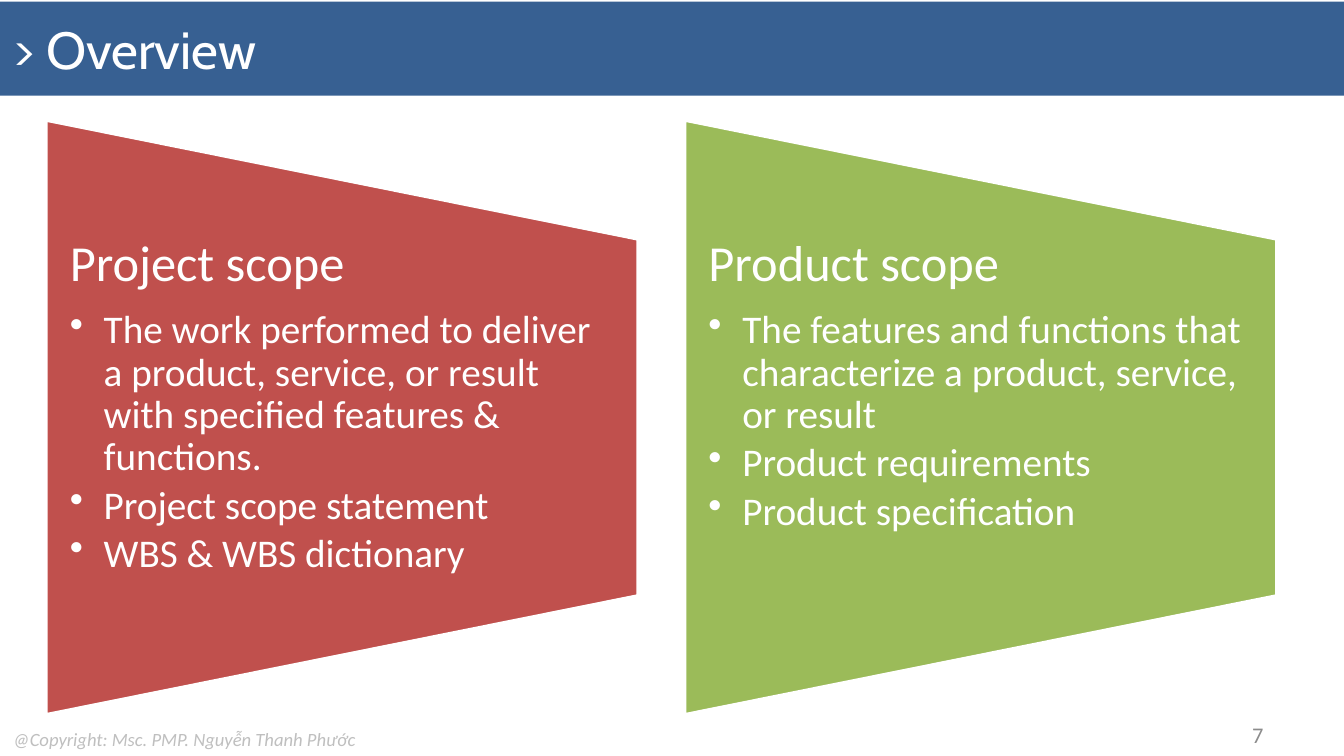
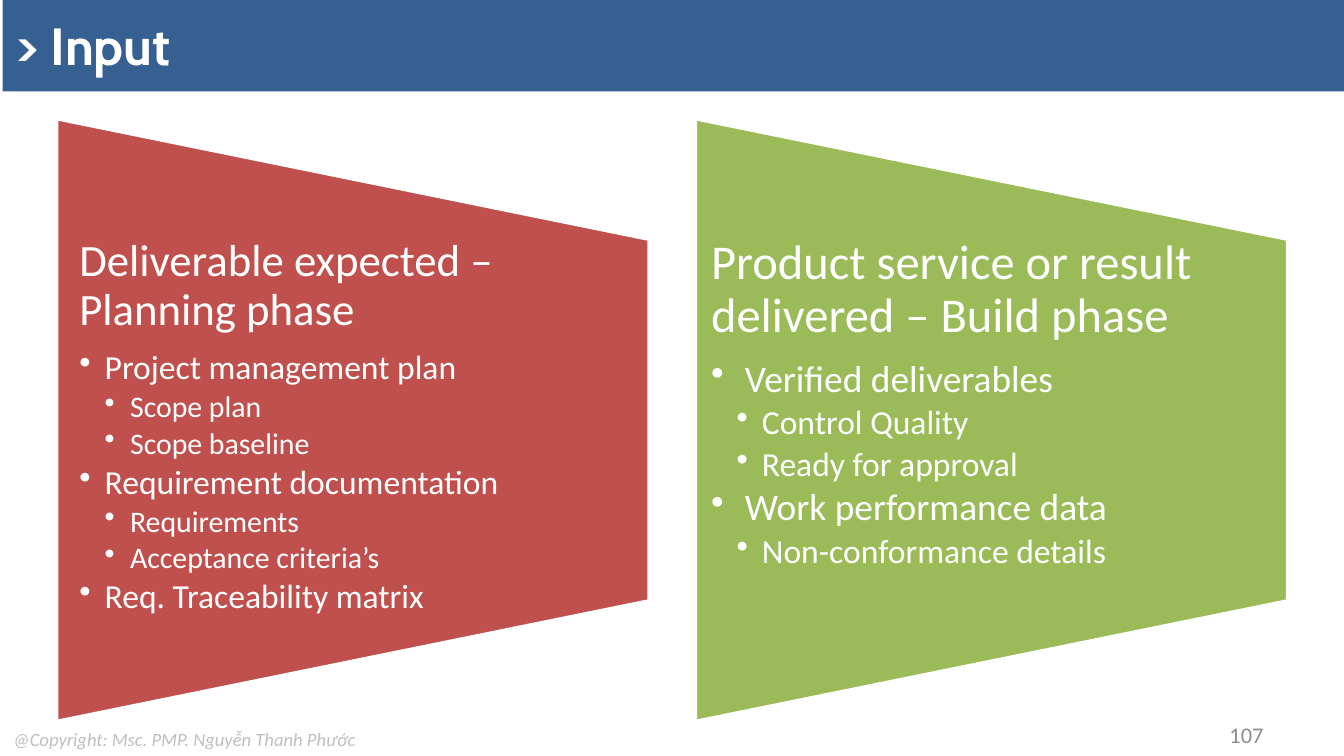
from dataclasses import dataclass

from lxml import etree
from pptx import Presentation
from pptx.dml.color import RGBColor
from pptx.enum.shapes import MSO_SHAPE
from pptx.enum.text import MSO_ANCHOR, PP_ALIGN
from pptx.oxml.ns import qn
from pptx.util import Cm, Pt

RECTANGLE = MSO_SHAPE.RECTANGLE
TRAPEZOID = MSO_SHAPE.FLOWCHART_MANUAL_OPERATION
TOP, MIDDLE = MSO_ANCHOR.TOP, MSO_ANCHOR.MIDDLE
LEFT, RIGHT = PP_ALIGN.LEFT, PP_ALIGN.RIGHT


@dataclass(frozen=True)
class Theme:
    band: RGBColor = RGBColor(0x37, 0x60, 0x92)
    white: RGBColor = RGBColor(0xFF, 0xFF, 0xFF)
    copyright: RGBColor = RGBColor(0xBF, 0xBF, 0xBF)
    number: RGBColor = RGBColor(0x8C, 0x8C, 0x8C)
    panels: tuple[RGBColor, RGBColor] = (
        RGBColor(0xC0, 0x50, 0x4D),
        RGBColor(0x9B, 0xBB, 0x59),
    )
    title_font: str = "Cabin"
    body_font: str = "Calibri"
    title_size: int = 28
    copyright_size: int = 10
    number_size: int = 12


THEME = Theme()
SLIDE_WIDTH, SLIDE_HEIGHT = Cm(25.4), Cm(14.29)
BAND_HEIGHT = Cm(1.78)
PANEL_PITCH = Cm(12.07)
PANEL_WIDTH = Cm(11.2)
TEXT_TOP = Cm(4.5)
COPYRIGHT = "@Copyright: Msc. PMP. Nguyễn Thanh Phước"


@dataclass(frozen=True)
class Panel:
    heading: str
    items: tuple[tuple[int, str], ...]  # (level, text)
    sizes: tuple[int, ...]  # heading, then each bullet level
    inset: Cm
    hanging: tuple[Cm, ...]  # one per bullet level


@dataclass(frozen=True)
class PanelSlide:
    title: str
    title_bold: bool
    number: str
    band_left: Cm
    band_top: Cm
    panel_left: Cm
    panel_top: Cm
    panel_length: Cm  # long side before the quarter turn
    text_left: Cm
    text_height: Cm
    panels: tuple[Panel, Panel]


SLIDES = (
    PanelSlide(
        "> Overview", False, "7", Cm(0), Cm(0.03),
        Cm(0.84), Cm(2.29), Cm(11.25), Cm(0.84), Cm(6.76),
        (
            Panel(
                "Project scope",
                (
                    (1, "The work performed to deliver a product, service, "
                        "or result with specified features & functions."),
                    (1, "Project scope statement"),
                    (1, "WBS & WBS dictionary"),
                ),
                (27, 21), Cm(0.48), (Cm(0.64),),
            ),
            Panel(
                "Product scope",
                (
                    (1, "The features and functions that characterize "
                        "a product, service, or result"),
                    (1, "Product requirements"),
                    (1, "Product specification"),
                ),
                (27, 21), Cm(0.48), (Cm(0.64),),
            ),
        ),
    ),
    PanelSlide(
        "> Input", True, "107", Cm(0.05), Cm(-0.05),
        Cm(0.97), Cm(2.34), Cm(11.4), Cm(1.07), Cm(6.86),
        (
            Panel(
                "Deliverable expected – Planning phase",
                (
                    (1, "Project management plan"),
                    (2, "Scope plan"),
                    (2, "Scope baseline"),
                    (1, "Requirement documentation"),
                    (2, "Requirements"),
                    (2, "Acceptance criteria’s"),
                    (1, "Req. Traceability matrix"),
                ),
                (24, 18, 16), Cm(0.43), (Cm(0.48), Cm(0.48)),
            ),
            Panel(
                "Product service or result delivered – Build phase",
                (
                    (1, "Verified deliverables"),
                    (2, "Control Quality"),
                    (2, "Ready for approval"),
                    (1, "Work performance data"),
                    (2, "Non-conformance details"),
                ),
                (26, 20, 18), Cm(0.3), (Cm(0.64), Cm(0.48)),
            ),
        ),
    ),
)


def set_values(target, values: dict) -> None:
    for name, value in values.items():
        setattr(target, name, value)


def write(paragraph, text: str, size: int, color: RGBColor,
          font: str = THEME.body_font, **style) -> None:
    run = paragraph.add_run()
    run.text = text
    set_values(run.font, {"name": font, "size": Pt(size), **style})
    run.font.color.rgb = color


def add_text_box(slide, box: tuple, **frame_format):
    frame = slide.shapes.add_textbox(*box).text_frame
    set_values(frame, {"word_wrap": True, "vertical_anchor": TOP, **frame_format})
    return frame


def add_filled_shape(slide, kind, box: tuple, color: RGBColor):
    shape = slide.shapes.add_shape(kind, *box)
    shape.shadow.inherit = False
    shape.fill.solid()
    shape.fill.fore_color.rgb = color
    shape.line.fill.background()
    return shape


def add_bullet(paragraph, level: int, hanging: Cm) -> None:
    paragraph.level = level
    properties = paragraph._p.get_or_add_pPr()
    left = hanging if level == 1 else 2 * hanging
    properties.set("marL", str(int(left)))
    properties.set("indent", str(-int(hanging)))
    etree.SubElement(properties, qn("a:buChar")).set("char", "•")


def add_frame(slide, page: PanelSlide) -> None:
    # Copyright footer
    frame = add_text_box(slide, (Cm(0), Cm(13.64), Cm(7.14), Cm(0.69)),
                         word_wrap=False)
    write(frame.paragraphs[0], COPYRIGHT, THEME.copyright_size,
          THEME.copyright, italic=True)

    # Title band
    box = (page.band_left, page.band_top, SLIDE_WIDTH - page.band_left, BAND_HEIGHT)
    band = add_filled_shape(slide, RECTANGLE, box, THEME.band)
    band.text_frame.vertical_anchor = MIDDLE
    paragraph = band.text_frame.paragraphs[0]
    paragraph.alignment = LEFT
    write(paragraph, page.title, THEME.title_size, THEME.white,
          THEME.title_font, bold=page.title_bold)

    # Slide number
    frame = add_text_box(slide, (Cm(18.21), Cm(13.51), Cm(5.92), Cm(0.76)),
                         vertical_anchor=MIDDLE)
    frame.paragraphs[0].alignment = RIGHT
    write(frame.paragraphs[0], page.number, THEME.number_size, THEME.number)


def add_panel(slide, page: PanelSlide, panel: Panel, index: int) -> None:
    # Trapezoid on its side
    offset = index * PANEL_PITCH
    box = (page.panel_left + offset, page.panel_top, page.panel_length, PANEL_WIDTH)
    trapezoid = add_filled_shape(slide, TRAPEZOID, box, THEME.panels[index])
    trapezoid.rotation = 270
    trapezoid.line.color.rgb = THEME.white
    trapezoid.line.width = Pt(2)

    # Heading and bullets
    frame = add_text_box(
        slide, (page.text_left + offset, TEXT_TOP, PANEL_WIDTH, page.text_height),
        margin_left=panel.inset, margin_right=panel.inset,
        margin_top=0, margin_bottom=0,
    )
    for level, text in ((0, panel.heading), *panel.items):
        paragraph = frame.add_paragraph() if level else frame.paragraphs[0]
        size = panel.sizes[level]
        gap = 0.15 if level else 0.35
        set_values(paragraph, {"line_spacing": 0.9, "space_before": Pt(0),
                               "space_after": Pt(size * gap)})
        if level:
            add_bullet(paragraph, level, panel.hanging[level - 1])
        write(paragraph, text, size, THEME.white)


def main() -> None:
    presentation = Presentation()
    presentation.slide_width = SLIDE_WIDTH
    presentation.slide_height = SLIDE_HEIGHT
    blank = presentation.slide_layouts[6]
    for page in SLIDES:
        slide = presentation.slides.add_slide(blank)
        add_frame(slide, page)
        for index, panel in enumerate(page.panels):
            add_panel(slide, page, panel, index)
    presentation.save("out.pptx")


if __name__ == "__main__":
    main()
